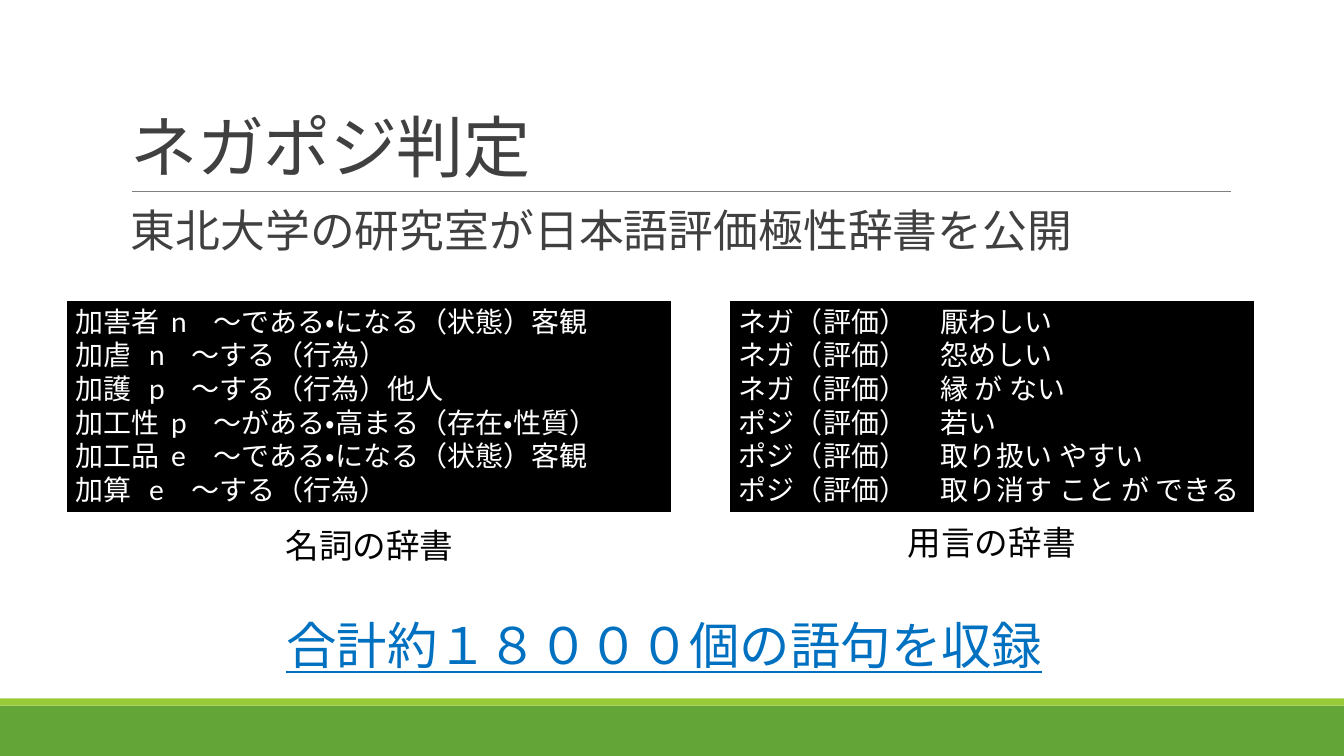
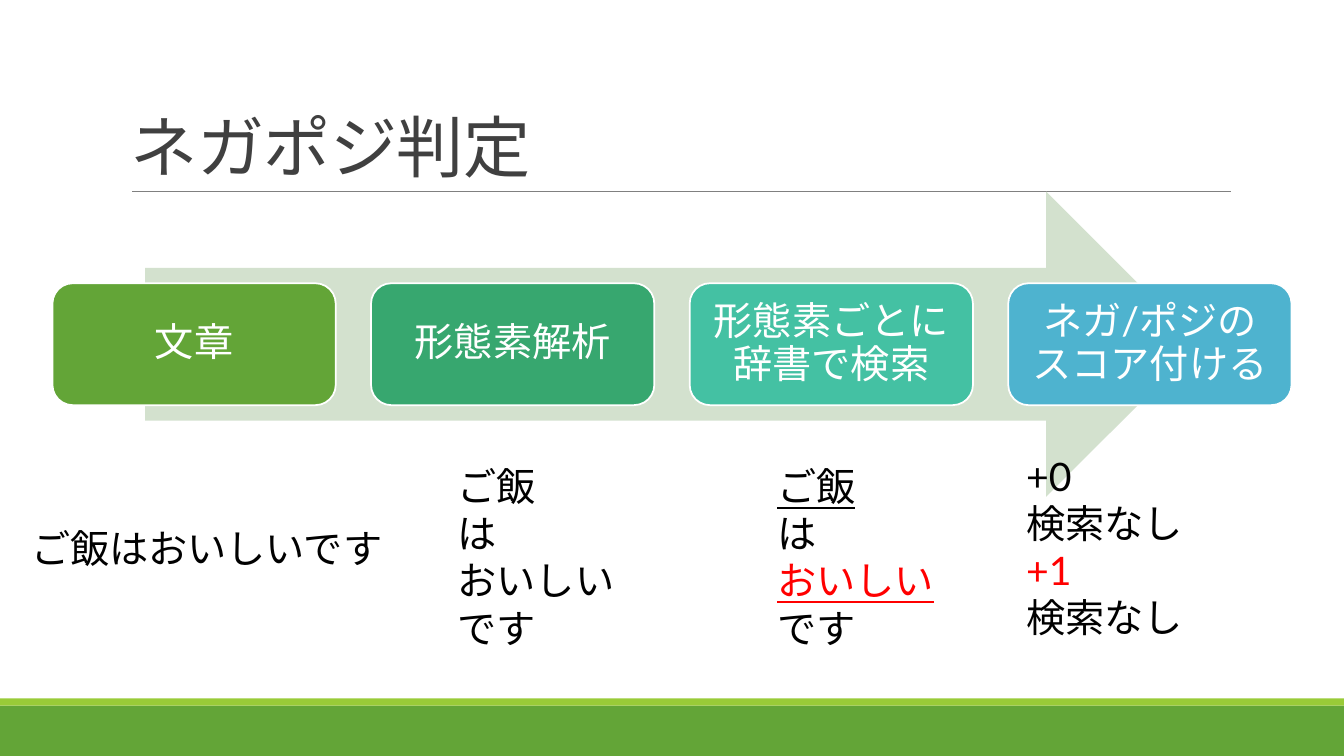
import pptx
import pptx.util
import pptx.dml.color
import pptx.enum.lang
import pptx.enum.shapes
import pptx.enum.text
from lxml import etree

Inches, Pt = pptx.util.Inches, pptx.util.Pt
SHAPE = pptx.enum.shapes.MSO_SHAPE
ALIGN = pptx.enum.text.PP_ALIGN
ANCHOR = pptx.enum.text.MSO_ANCHOR

# Shared look
FONT = "Lato"
WHITE, BLACK, INK, RED, BLUE = "FFFFFF", "000000", "404040", "FF0000", "0070C0"
GREEN, LIME, RULE, PALE = "63A537", "99CB38", "808080", "D3E1CE"
WIDTH, HEIGHT = 13.33, 7.5
DRAWING = "http://schemas.openxmlformats.org/drawingml/2006/main"


def color(hex_value):
    return pptx.dml.color.RGBColor.from_string(hex_value)


def add_child(parent, tag, **attributes):
    return etree.SubElement(parent, f"{{{DRAWING}}}{tag}", attributes)


def add_panel(slide, box, fill, kind=SHAPE.RECTANGLE, line=None, line_width=1):
    panel = slide.shapes.add_shape(kind, *map(Inches, box))
    panel.shadow.inherit = False
    panel.fill.solid()
    panel.fill.fore_color.rgb = color(fill)
    if line:
        panel.line.color.rgb = color(line)
        panel.line.width = Pt(line_width)
    else:
        panel.line.fill.background()
    return panel


def write(holder, lines, size, ink=BLACK, align=ALIGN.LEFT, anchor=ANCHOR.TOP,
          spacing=None, underline=False):
    """Each line is a text, or a tuple of text, colour and underline."""
    frame = holder.text_frame
    frame.word_wrap = True
    frame.vertical_anchor = anchor
    for number, line in enumerate(lines):
        text, line_ink, line_underline = (
            line if isinstance(line, tuple) else (line, ink, underline))
        paragraph = frame.paragraphs[0] if number == 0 else frame.add_paragraph()
        paragraph.alignment = align
        paragraph.line_spacing = spacing
        run = paragraph.add_run()
        run.text = text
        run.font.name = FONT
        run.font.size = Pt(size)
        run.font.color.rgb = color(line_ink)
        run.font.language_id = pptx.enum.lang.MSO_LANGUAGE_ID.JAPANESE
        if line_underline:
            run.font.underline = True
    return frame


def add_text(slide, box, lines, size, **style):
    holder = slide.shapes.add_textbox(*map(Inches, box))
    return write(holder, lines, size, **style)


def set_tabs(paragraph, stops):
    tabs = add_child(paragraph._p.get_or_add_pPr(), "tabLst")
    for stop in stops:
        add_child(tabs, "tab", pos=str(Inches(stop)), algn="l")


def add_titled_slide(deck, title):
    slide = deck.slides.add_slide(deck.slide_layouts[6])
    # Footer bands
    add_panel(slide, (0, 7, WIDTH, 0.5), GREEN)
    add_panel(slide, (0, 6.93, WIDTH, 0.07), LIME)
    # Title and the rule under it
    rule = slide.shapes.add_connector(
        pptx.enum.shapes.MSO_CONNECTOR.STRAIGHT,
        *map(Inches, (1.31, 1.9, 12.21, 1.9)))
    rule.line.color.rgb = color(RULE)
    rule.line.width = Pt(0.5)
    add_child(rule._element.spPr, "effectLst")
    frame = add_text(slide, (1.2, 0.31, 11, 1.59), [title], 48, ink=INK,
                     anchor=ANCHOR.BOTTOM, spacing=0.85)
    frame.paragraphs[0].runs[0].font._element.set("spc", "-50")
    return slide


def add_dictionary(slide, box, entries, stops_for, caption, caption_box):
    """A black listing with tabbed columns and a caption below it."""
    listing = add_panel(slide, box, BLACK, line=WHITE, line_width=2)
    frame = write(listing, ["\t".join(entry) for entry in entries], 20, ink=WHITE)
    for paragraph, entry in zip(frame.paragraphs, entries):
        set_tabs(paragraph, stops_for(entry[0]))
    left, top, width, height = caption_box
    add_text(slide, (box[0] + left, box[1] + top, width, height), [caption], 24,
             align=ALIGN.CENTER)


def noun_stops(word):
    """The mark follows the word; the meaning follows the mark."""
    mark = 0.29 + 0.22 * len(word)
    return mark, mark + 0.42


def build_dictionary_slide(deck):
    slide = add_titled_slide(deck, "ネガポジ判定")
    lead = add_text(slide, (1.2, 2.02, 11, 0.95),
                    ["東北大学の研究室が日本語評価極性辞書を公開"], 32,
                    ink=INK, spacing=0.9)
    lead.paragraphs[0].space_before = Pt(12)

    nouns = [
        ("加害者", "n", "〜である・になる（状態）客観"),
        ("加虐", "n", "〜する（行為）"),
        ("加護", "p", "〜する（行為）他人"),
        ("加工性", "p", "〜がある・高まる（存在・性質）"),
        ("加工品", "e", "〜である・になる（状態）客観"),
        ("加算", "e", "〜する（行為）"),
    ]
    add_dictionary(slide, (0.65, 2.97, 6.02, 2.12), nouns, noun_stops,
                   "名詞の辞書", (1.36, 2.19, 3.31, 0.5))

    predicates = [
        ("ネガ（評価）", "厭わしい"),
        ("ネガ（評価）", "怨めしい"),
        ("ネガ（評価）", "縁 が ない"),
        ("ポジ（評価）", "若い"),
        ("ポジ（評価）", "取り扱い やすい"),
        ("ポジ（評価）", "取り消す こと が できる"),
    ]
    add_dictionary(slide, (7.23, 2.97, 5.22, 2.12), predicates, lambda word: (2,),
                   "用言の辞書", (0.95, 2.16, 3.31, 0.5))

    # Total
    add_text(slide, (2.74, 6.04, 7.85, 0.71), ["合計約１８０００個の語句を収録"],
             36, ink=BLUE, underline=True)


def add_process(slide, box, steps):
    """Equal step cards across the box, over a wide arrow."""
    left, top, width, height = box
    card_width = 2.81
    pitch = (width - card_width) / (len(steps) - 1)
    add_panel(slide, (left + 0.92, top - 0.91, 10.45, 3.03), PALE,
              kind=SHAPE.RIGHT_ARROW)
    for number, (label, fill) in enumerate(steps):
        card = add_panel(slide, (left + number * pitch, top, card_width, height),
                         fill, kind=SHAPE.ROUNDED_RECTANGLE, line=WHITE,
                         line_width=1.25)
        frame = write(card, [label], 28, ink=WHITE, align=ALIGN.CENTER,
                      anchor=ANCHOR.MIDDLE, spacing=0.9)
        frame.margin_left = frame.margin_right = Inches(0.12)
        frame.margin_top = frame.margin_bottom = Inches(0.12)


def build_process_slide(deck):
    slide = add_titled_slide(deck, "ネガポジ判定")
    add_process(slide, (0.52, 2.81, 12.29, 1.21), [
        ("文章", GREEN),
        ("形態素解析", "37A76F"),
        ("形態素ごとに辞書で検索", "44C1A3"),
        ("ネガ/ポジのスコア付ける", "4EB3CF"),
    ])

    # Worked example under each step
    examples = [
        ((0.21, 5.15, 3.81, 0.57), ["ご飯はおいしいです"]),
        ((4.44, 4.54, 1.95, 1.99), ["ご飯", "は", "おいしい", "です"]),
        ((7.61, 4.54, 1.95, 1.99),
         [("ご飯", BLACK, True), "は", ("おいしい", RED, True), "です"]),
        ((10.08, 4.44, 1.81, 1.99),
         ["+0", "検索なし", ("+1", RED, False), "検索なし"]),
    ]
    for box, lines in examples:
        add_text(slide, box, lines, 28)


def main():
    deck = pptx.Presentation()
    deck.slide_width, deck.slide_height = Inches(WIDTH), Inches(HEIGHT)
    build_dictionary_slide(deck)
    build_process_slide(deck)
    deck.save("out.pptx")


if __name__ == "__main__":
    main()
